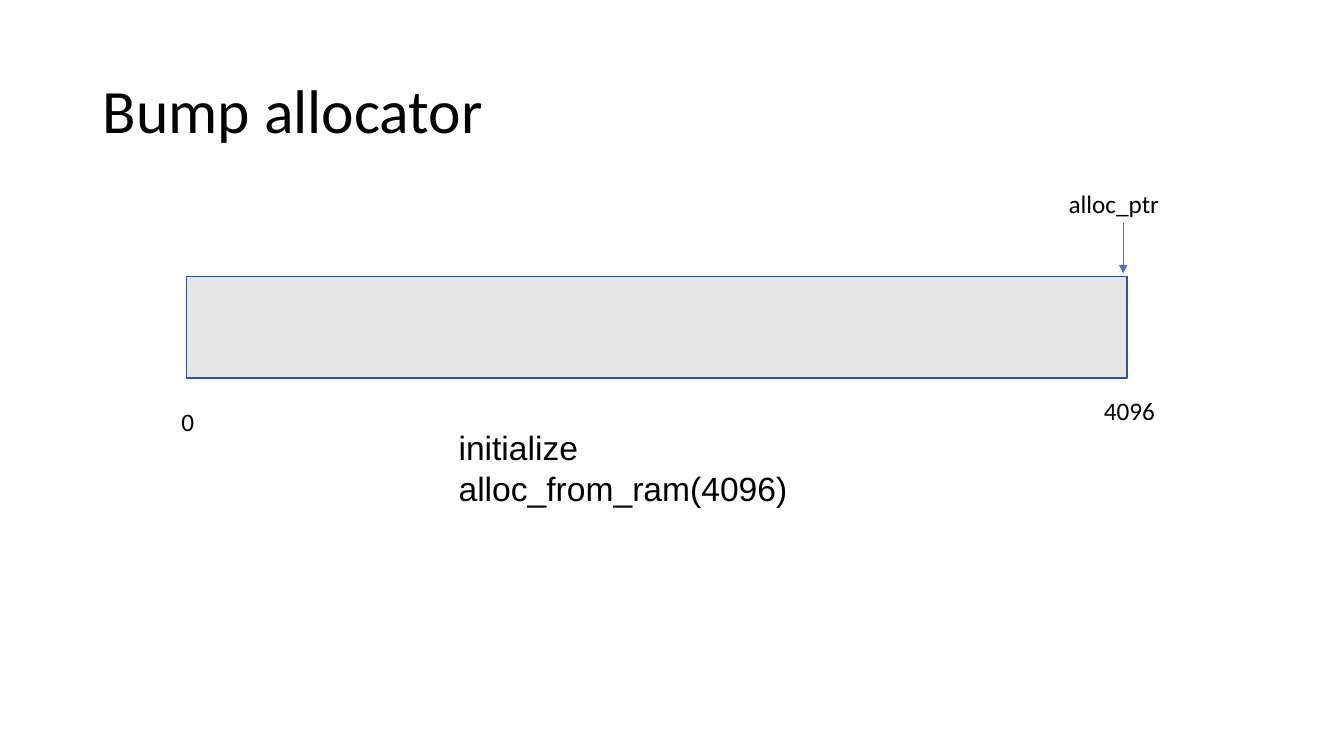
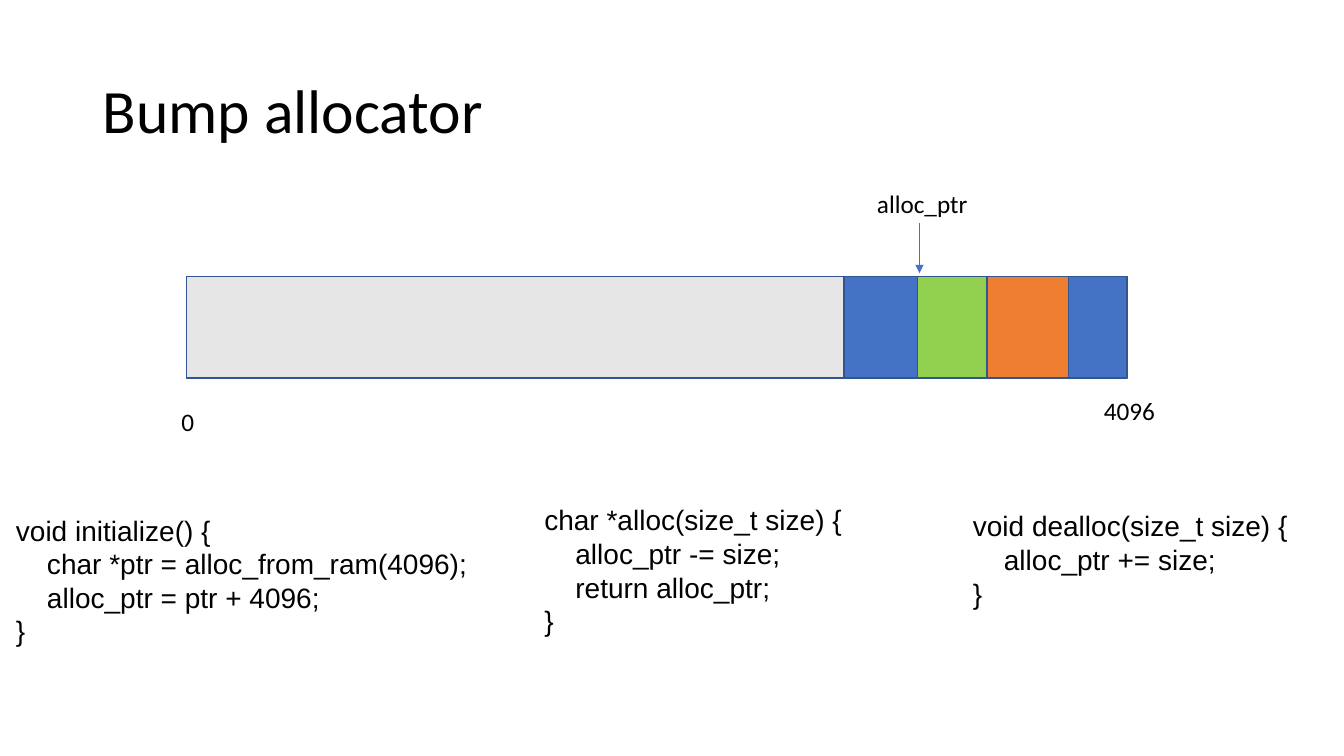
from pptx import Presentation
from pptx.dml.color import RGBColor
from pptx.enum import shapes, text
from pptx.oxml.ns import qn
from pptx.util import Pt
from lxml import etree

EMU_PER_PX = 9144  # 100 px to the inch
COLORS = {
    "text": "000000",
    "free": "E7E6E6",
    "outline": "325491",
    "blue": "4472C4",
    "green": "92D050",
    "orange": "ED7D31",
}
MEMORY_LEFT, MEMORY_TOP, MEMORY_WIDTH, MEMORY_HEIGHT = 185, 274, 933, 101

INITIALIZE_CODE = """void initialize() {
    char *ptr = alloc_from_ram(4096);
    alloc_ptr = ptr + 4096;
}"""
ALLOC_CODE = """char *alloc(size_t size) {
    alloc_ptr -= size;
    return alloc_ptr;
}"""
DEALLOC_CODE = """void dealloc(size_t size) {
    alloc_ptr += size;
}"""


def px(*lengths):
    return [length * EMU_PER_PX for length in lengths]


def color(name):
    return RGBColor.from_string(COLORS[name])


def write_text(frame, content, size=18, font="Calibri", line_spacing=1.0,
               anchor=text.MSO_ANCHOR.TOP, auto_size=text.MSO_AUTO_SIZE.SHAPE_TO_FIT_TEXT):
    """Fill a text frame, one paragraph for each line of content."""
    frame.text = content
    frame.word_wrap = True
    frame.auto_size = auto_size
    frame.vertical_anchor = anchor
    for paragraph in frame.paragraphs:
        paragraph.alignment = text.PP_ALIGN.LEFT
        paragraph.line_spacing = line_spacing
        paragraph.font.size = Pt(size)
        paragraph.font.name = font
        paragraph.font.color.rgb = color("text")


def add_text(slide, content, left, top, width, height, **text_format):
    box = slide.shapes.add_textbox(*px(left, top, width, height))
    write_text(box.text_frame, content, **text_format)


def add_block(slide, left, width, fill):
    """Add a rectangle that spans the height of the memory bar."""
    block = slide.shapes.add_shape(shapes.MSO_SHAPE.RECTANGLE,
                                   *px(left, MEMORY_TOP, width, MEMORY_HEIGHT))
    block.shadow.inherit = False
    block.fill.solid()
    block.fill.fore_color.rgb = color(fill)
    block.line.color.rgb = color("outline")
    block.line.width = Pt(1)


def add_pointer(slide, x, label_left):
    """Add the alloc_ptr label and its arrow down to the memory bar."""
    arrow = slide.shapes.add_connector(shapes.MSO_CONNECTOR.STRAIGHT, *px(x, 221, x, 271))
    arrow.line.color.rgb = color("blue")
    arrow.line.width = Pt(0.5)
    etree.SubElement(arrow.line._get_or_add_ln(), qn("a:tailEnd"), type="triangle")
    etree.SubElement(arrow._element.spPr, qn("a:effectLst"))
    add_text(slide, "alloc_ptr", label_left, 182, 263, 40)


def add_allocator_slide(presentation, pointer_x, label_left, allocations=()):
    """Add a titled memory bar; allocations are (width, fill), stacked from the right."""
    slide = presentation.slides.add_slide(presentation.slide_layouts[5])
    title = slide.shapes.title
    title.left, title.top, title.width, title.height = px(92, 40, 1150, 145)
    write_text(title.text_frame, "Bump allocator", size=44, line_spacing=0.9,
               anchor=text.MSO_ANCHOR.MIDDLE, auto_size=text.MSO_AUTO_SIZE.NONE)

    add_block(slide, MEMORY_LEFT, MEMORY_WIDTH, "free")
    left = MEMORY_LEFT + MEMORY_WIDTH
    for width, fill in allocations:
        left -= width
        add_block(slide, left, width, fill)
    add_text(slide, "0", 170, 398, 100, 40)
    add_text(slide, "4096", 1085, 387, 100, 40)
    add_pointer(slide, pointer_x, label_left)
    return slide


def main():
    presentation = Presentation()
    presentation.slide_width, presentation.slide_height = px(1333, 750)

    empty = add_allocator_slide(presentation, 1114, 1050)
    add_text(empty, "initialize\nalloc_from_ram(4096)", 445, 419, 471, 91,
             size=24, font="Arial")

    allocations = [(58, "blue"), (81, "orange"), (69, "green"), (73, "blue")]
    filled = add_allocator_slide(presentation, 912, 860, allocations)
    for code, left, top, width, height in [
        (INITIALIZE_CODE, 6, 504, 474, 145),
        (ALLOC_CODE, 530, 494, 415, 145),
        (DEALLOC_CODE, 955, 500, 375, 111),
    ]:
        add_text(filled, code, left, top, width, height, size=20, font="Arial")

    presentation.save("out.pptx")


if __name__ == "__main__":
    main()
